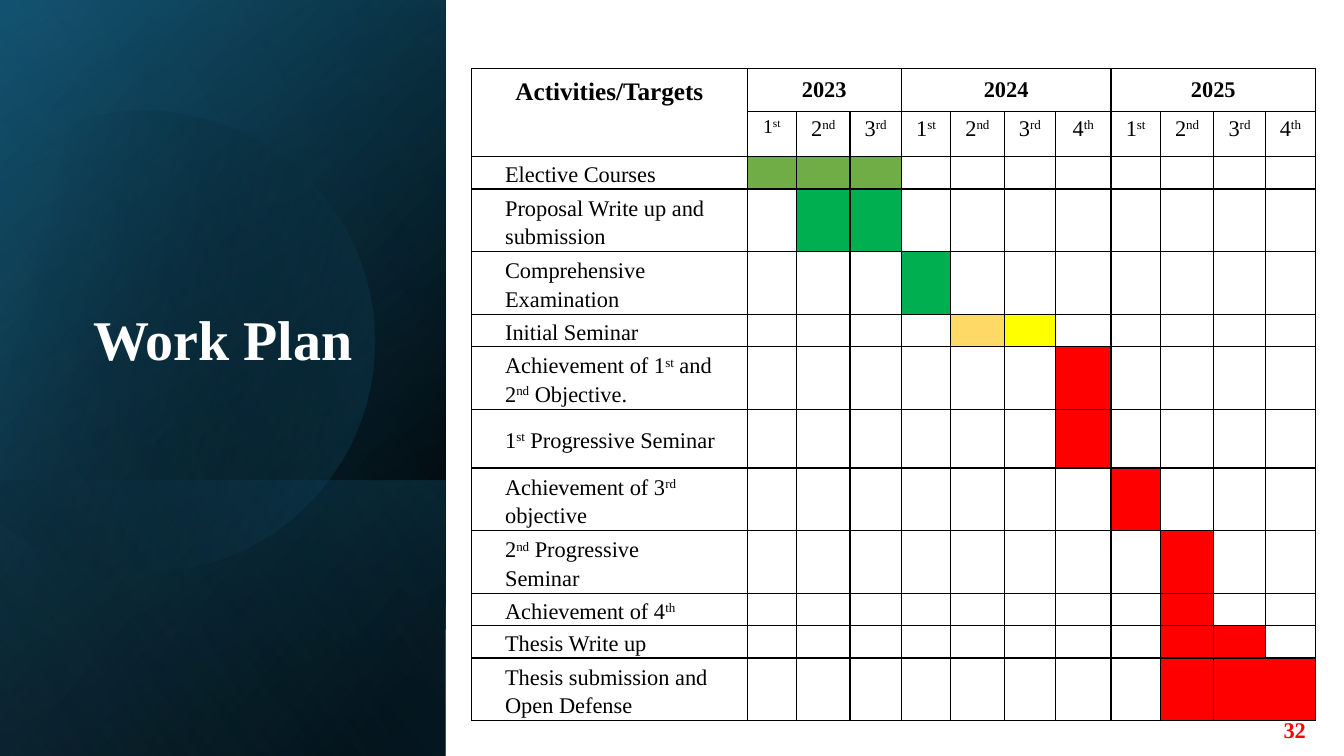
import math
from pptx import Presentation, util as u
from pptx.dml.color import RGBColor
from pptx.enum import shapes, text
from pptx.oxml import parse_xml
from pptx.oxml.ns import nsdecls, qn

FONT = "Times New Roman"
SLIDE_WIDTH, SLIDE_HEIGHT = 13.33, 7.5
PANEL_WIDTH = 4.42

COLUMNS = [2.73, 0.49, 0.53, 0.51, 0.49, 0.53, 0.51, 0.55, 0.49, 0.53, 0.51, 0.5]
TABLE_HEIGHT = 6.36
HEADER_ROW, SINGLE_ROW, DOUBLE_ROW = 0.43, 0.32, 0.58
YEARS = [("2023", ["1^st", "2^nd", "3^rd"]),
         ("2024", ["1^st", "2^nd", "3^rd", "4^th"]),
         ("2025", ["1^st", "2^nd", "3^rd", "4^th"])]
LIGHT_GREEN, GREEN, GOLD, YELLOW, RED = "70AD47", "00B050", "FFD966", "FFFF00", "FF0000"

# Activity (^ marks the start and end of a superscript), row height, colours by quarter
ACTIVITIES = [
    ("Elective Courses", SINGLE_ROW, {1: LIGHT_GREEN, 2: LIGHT_GREEN, 3: LIGHT_GREEN}),
    ("Proposal Write up and submission", DOUBLE_ROW, {2: GREEN, 3: GREEN}),
    ("Comprehensive\nExamination", DOUBLE_ROW, {4: GREEN}),
    ("Initial Seminar", SINGLE_ROW, {5: GOLD, 6: YELLOW}),
    ("Achievement of 1^st^ and 2^nd^ Objective.", DOUBLE_ROW, {7: RED}),
    ("1^st^ Progressive Seminar", DOUBLE_ROW, {7: RED}),
    ("Achievement of 3^rd^ objective", SINGLE_ROW, {8: RED}),
    ("2^nd^ Progressive\nSeminar", DOUBLE_ROW, {9: RED}),
    ("Achievement of 4^th", SINGLE_ROW, {9: RED}),
    ("Thesis Write up", SINGLE_ROW, {9: RED, 10: RED}),
    ("Thesis submission and Open Defense", DOUBLE_ROW, {9: RED, 10: RED}),
]


def color(hex_string):
    return RGBColor.from_string(hex_string)


def write(frame, content, size=16, ink="000000", bold=False, align=text.PP_ALIGN.LEFT,
          spacing=None, after=0, indent=None):
    """Write lines of text; every second part between ^ marks is superscript."""
    for number, line in enumerate(content.split("\n")):
        paragraph = frame.paragraphs[0] if number == 0 else frame.add_paragraph()
        paragraph.alignment = align
        paragraph.space_before, paragraph.space_after = u.Pt(0), u.Pt(after)
        if spacing:
            paragraph.line_spacing = spacing
        if indent:
            paragraph._p.get_or_add_pPr().set("marL", str(u.Inches(indent)))
        for part_number, part in enumerate(line.split("^")):
            run = paragraph.add_run()
            run.text = part
            run.font.name, run.font.size, run.font.bold = FONT, u.Pt(size), bold
            run.font.color.rgb = color(ink)
            if part_number % 2:
                run.font._element.set("baseline", "30000")


def add_label(slide, box, content, **style):
    label = slide.shapes.add_textbox(*map(u.Inches, box))
    label.text_frame.word_wrap = True
    label.text_frame.vertical_anchor = text.MSO_ANCHOR.MIDDLE
    write(label.text_frame, content, **style)


def paint_gradient(shape, stops, angle):
    """Stops are (position %, colour, opacity %)."""
    shape.shadow.inherit = False
    shape.line.fill.background()
    stop_xml = "".join(
        f'<a:gs pos="{position * 1000}"><a:srgbClr val="{hex_string}">'
        f'<a:alpha val="{opacity * 1000}"/></a:srgbClr></a:gs>'
        for position, hex_string, opacity in stops)
    gradient = parse_xml(
        f'<a:gradFill {nsdecls("a")} rotWithShape="1"><a:gsLst>{stop_xml}</a:gsLst>'
        f'<a:lin ang="{angle * 60000}" scaled="0"/></a:gradFill>')
    properties = shape._element.spPr
    properties.insert(list(properties).index(properties.find(qn("a:ln"))), gradient)


def add_gradient_panel(slide, box, stops, angle):
    """Fill the box with a flipped rectangle turned by a quarter."""
    left, top, width, height = box
    shift = (height - width) / 2
    panel = slide.shapes.add_shape(
        shapes.MSO_SHAPE.RECTANGLE,
        *map(u.Inches, (left - shift, top + shift, height, width)))
    panel.rotation = 90
    panel._element.spPr.find(qn("a:xfrm")).set("flipH", "1")
    paint_gradient(panel, stops, angle)


def add_cut_disc(slide, center, radius, angles, rotation):
    """Circle cut by a chord, drawn as one curve between each two angles."""
    def at(degree, tangent=0):
        cosine, sine = math.cos(math.radians(degree)), math.sin(math.radians(degree))
        return (u.Inches(center[0] + radius * (cosine - tangent * sine)),
                u.Inches(center[1] + radius * (sine + tangent * cosine)))

    points = []
    for start, end in zip(angles, angles[1:]):
        handle = 4 / 3 * math.tan(math.radians(end - start) / 4)
        points += [at(start, handle), at(end, -handle), at(end)]
    builder = slide.shapes.build_freeform(*at(angles[0]))
    builder.add_line_segments(points, close=True)
    disc = builder.convert_to_shape()

    # Join every three line segments into one curve
    lines = list(disc._element.iter(qn("a:lnTo")))
    for first in range(0, len(lines), 3):
        curve = parse_xml(f'<a:cubicBezTo {nsdecls("a")}/>')
        lines[first].addprevious(curve)
        for line in lines[first:first + 3]:
            curve.append(line[0])
            line.getparent().remove(line)
    disc.rotation = rotation
    paint_gradient(disc, [(29, "000000", 0), (100, "156082", 43)], 30)


def add_title_panel(slide, box):
    left, top, width, height = box
    lower = (left, top + height * 0.635, width, height * 0.365)
    add_gradient_panel(slide, box, [(8, "000000", 100), (100, "104862", 100)], 50)
    add_gradient_panel(slide, box, [(0, "000000", 0), (99, "156082", 46)], 30)
    add_gradient_panel(slide, lower, [(2, "156082", 29), (100, "000000", 30)], 130)
    add_cut_disc(slide, (left + 1.42, top + 3.35), 2.29, [-118, -90, 0, 90, 150], 343.9)
    add_gradient_panel(slide, box, [(0, "000000", 0), (99, "46B1E1", 11)], 120)
    add_label(slide, (left + 0.4, top + 2.89, 3.62, 1.01), "Work Plan", size=40,
              ink="FFFFFF", bold=True, align=text.PP_ALIGN.CENTER, spacing=0.9)


def format_cell(cell, margins, fill=None):
    (cell.margin_left, cell.margin_top,
     cell.margin_right, cell.margin_bottom) = map(u.Inches, margins)
    properties = cell._tc.get_or_add_tcPr()
    for side in ("lnL", "lnR", "lnT", "lnB"):
        properties.append(parse_xml(
            f'<a:{side} {nsdecls("a")} w="12700"><a:solidFill><a:srgbClr val="000000"/>'
            f'</a:solidFill></a:{side}>'))
    if fill:
        cell.fill.solid()
        cell.fill.fore_color.rgb = color(fill)
    else:
        cell.fill.background()
    # Keeps empty cells from stretching their row
    cell.text_frame.paragraphs[0]._p.append(
        parse_xml(f'<a:endParaRPr {nsdecls("a")} sz="1600"/>'))


def add_schedule(slide, left, top):
    heights = [HEADER_ROW, SINGLE_ROW] + [height for _, height, _ in ACTIVITIES]
    frame = slide.shapes.add_table(
        len(heights), len(COLUMNS),
        *map(u.Inches, (left, top, sum(COLUMNS), TABLE_HEIGHT)))
    table = frame.table
    table.first_row = table.horz_banding = False
    for column, width in zip(table.columns, COLUMNS):
        column.width = u.Inches(width)
    for row, height in zip(table.rows, heights):
        row.height = u.Inches(height)
    frame.height = u.Inches(TABLE_HEIGHT)

    # Fills and borders
    for row_number in range(len(heights)):
        fills = ACTIVITIES[row_number - 2][2] if row_number > 1 else {}
        for column_number in range(len(COLUMNS)):
            margins = (0.08, 0.01, 0.08, 0) if row_number else (0.1, 0.05, 0.1, 0.05)
            format_cell(table.cell(row_number, column_number), margins,
                        fills.get(column_number))

    # Header rows
    header = dict(align=text.PP_ALIGN.CENTER, spacing=1.15, after=10)
    table.cell(0, 0).merge(table.cell(1, 0))
    write(table.cell(0, 0).text_frame, "Activities/Targets", size=18, bold=True, **header)
    first = 1
    for year, quarters in YEARS:
        table.cell(0, first).merge(table.cell(0, first + len(quarters) - 1))
        write(table.cell(0, first).text_frame, year, bold=True, **header)
        for column_number, quarter in enumerate(quarters, first):
            write(table.cell(1, column_number).text_frame, quarter,
                  size=14 if column_number == 1 else 16, **header)
        first += len(quarters)

    # Activity names
    for row_number, (activity, _, _) in enumerate(ACTIVITIES, 2):
        cell = table.cell(row_number, 0)
        cell.vertical_anchor = text.MSO_ANCHOR.MIDDLE
        write(cell.text_frame, activity, spacing=1.15, indent=0.25)
    table.cell(len(heights) - 1, 10).merge(table.cell(len(heights) - 1, 11))


def main():
    presentation = Presentation()
    presentation.slide_width = u.Inches(SLIDE_WIDTH)
    presentation.slide_height = u.Inches(SLIDE_HEIGHT)
    slide = presentation.slides.add_slide(presentation.slide_layouts[6])
    add_title_panel(slide, (0, 0, PANEL_WIDTH, SLIDE_HEIGHT))
    add_schedule(slide, PANEL_WIDTH + 0.26, 0.68)
    add_label(slide, (10.05, 7.04, 3, 0.4), "32", ink=RED, bold=True,
              align=text.PP_ALIGN.RIGHT)
    presentation.save("out.pptx")


if __name__ == "__main__":
    main()
